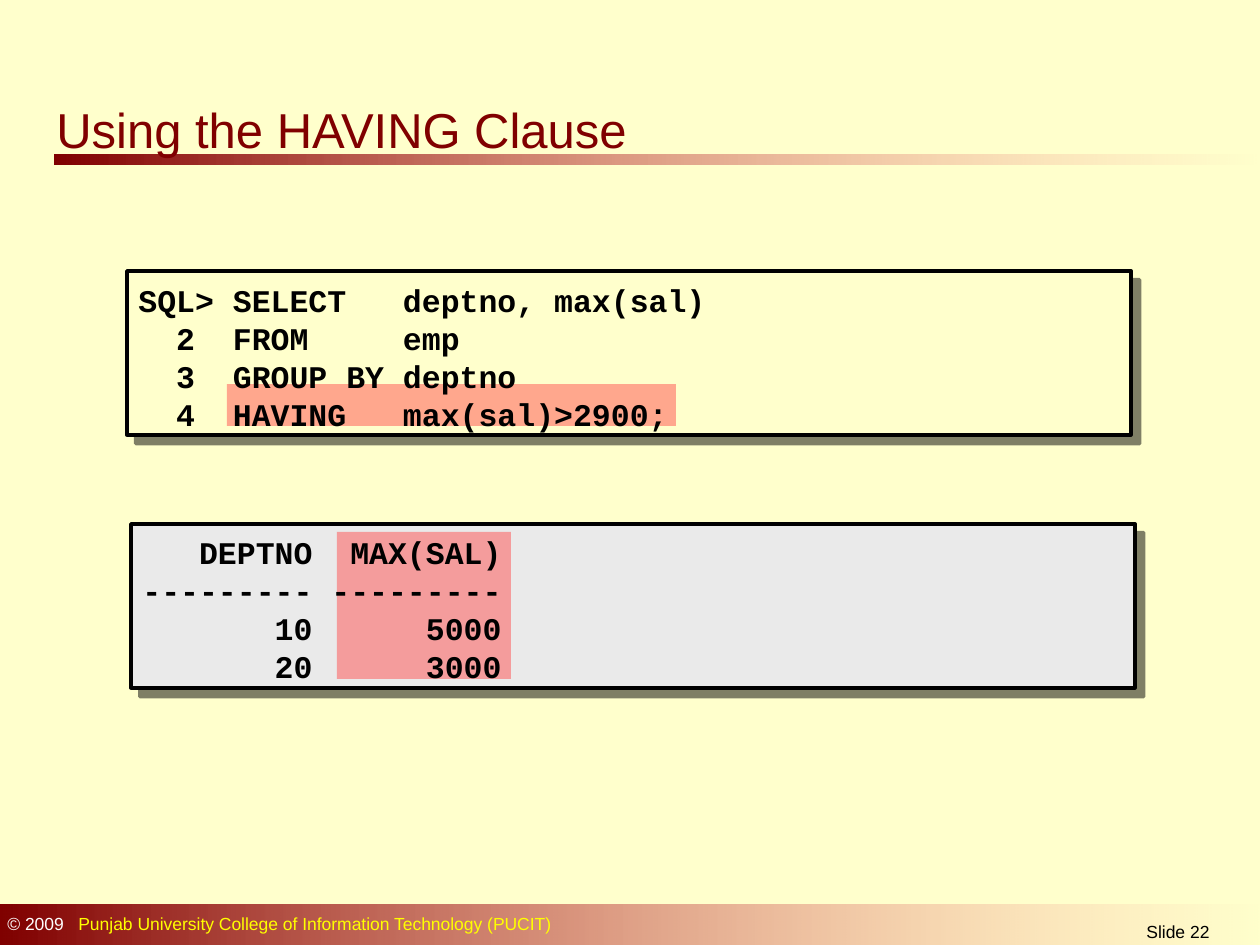
"""Build the slide on the HAVING clause."""
from dataclasses import dataclass

from lxml import etree
from pptx import Presentation
from pptx.dml.color import RGBColor
from pptx.enum.shapes import MSO_SHAPE
from pptx.enum.text import MSO_ANCHOR, PP_ALIGN
from pptx.oxml.ns import qn
from pptx.util import Inches, Pt

RECT = MSO_SHAPE.RECTANGLE
TOP, MID, LOW = MSO_ANCHOR.TOP, MSO_ANCHOR.MIDDLE, MSO_ANCHOR.BOTTOM
LEFT, CENTER = PP_ALIGN.LEFT, PP_ALIGN.CENTER
UNIT = Inches(1) / 126
INK = {
    "page": "FFFFCC", "maroon": "800000", "fade": "FF8585",
    "black": "000000", "white": "FFFFFF", "yellow": "FFFF00",
    "gray": "EAEAEA", "mark": "FF5050",
}


@dataclass
class Box:
    x: int
    y: int
    w: int
    h: int

    def emu(self) -> list[int]:
        return [round(n * UNIT) for n in (self.x, self.y, self.w, self.h)]


@dataclass
class Panel:
    box: Box
    fill: str


@dataclass
class Text:
    box: Box
    lines: list[str]
    size: int
    color: str = "black"
    face: str = "Arial"
    bold: bool = False
    anchor: MSO_ANCHOR = TOP
    align: PP_ALIGN = LEFT
    pitch: float | None = None


BARS = [Box(54, 155, 1206, 10), Box(0, 905, 1264, 44)]
PANELS = [
    Panel(Box(127, 271, 1004, 164), "page"),
    Panel(Box(131, 524, 1004, 164), "gray"),
]
MARKS = [Box(227, 384, 449, 42), Box(337, 532, 174, 147)]
TITLE = Text(Box(44, 91, 610, 74), ["Using the HAVING Clause"], 28, "maroon", anchor=LOW)
PAGE = Text(Box(1047, 915, 262, 30), ["Slide 22"], 10, align=CENTER)
QUERY = [
    "SQL> SELECT   deptno, max(sal)",
    "  2  FROM     emp",
    "  3  GROUP BY deptno",
    "  4  HAVING   max(sal)>2900;",
]
RESULT = [
    "   DEPTNO  MAX(SAL)",
    "--------- ---------",
    "       10      5000",
    "       20      3000",
]
CREDIT = [
    ("© 2009", "white"),
    ("\tPunjab University College of Information Technology (PUCIT)", "yellow"),
]


def rgb(name: str) -> RGBColor:
    return RGBColor.from_string(INK[name])


def fade(node, share: int) -> None:
    etree.SubElement(node, qn("a:alpha"), val=str(share * 1000))


def block(slide, box: Box):
    shape = slide.shapes.add_shape(RECT, *box.emu())
    shape.shadow.inherit = False
    shape.line.fill.background()
    return shape


def colors(shape) -> list:
    return list(shape._element.spPr.iter(qn("a:srgbClr")))


def bar(slide, box: Box) -> None:
    shape = block(slide, box)
    shape.fill.gradient()
    shape.fill.gradient_angle = 0
    for stop, name in zip(shape.fill.gradient_stops, ("maroon", "fade")):
        stop.color.rgb = rgb(name)
    fade(colors(shape)[1], 0)


def panel(slide, item: Panel) -> None:
    shape = block(slide, item.box)
    shape.fill.solid()
    shape.fill.fore_color.rgb = rgb(item.fill)
    shape.line.color.rgb = rgb("black")
    shape.line.width = Pt(2)
    effects = shape._element.spPr.find(qn("a:effectLst"))
    shade = etree.SubElement(
        effects, qn("a:outerShdw"), blurRad="0", dist=str(Pt(7.1)),
        dir="2700000", algn="ctr", rotWithShape="0",
    )
    fade(etree.SubElement(shade, qn("a:srgbClr"), val=INK["black"]), 50)


def mark(slide, box: Box) -> None:
    shape = block(slide, box)
    shape.fill.solid()
    shape.fill.fore_color.rgb = rgb("mark")
    fade(colors(shape)[0], 50)


def frame(slide, box: Box):
    area = slide.shapes.add_textbox(*box.emu()).text_frame
    area.word_wrap = True
    return area


def write(slide, item: Text) -> None:
    area = frame(slide, item.box)
    area.vertical_anchor = item.anchor
    area.text = "\n".join(item.lines)
    for para in area.paragraphs:
        para.alignment = item.align
        if item.pitch:
            para.line_spacing = Pt(item.pitch)
        para.font.name = item.face
        para.font.size = Pt(item.size)
        para.font.bold = item.bold
        para.font.color.rgb = rgb(item.color)


def code(slide, box: Box, lines: list[str]) -> None:
    write(slide, Text(box, lines, 18, face="Courier New", bold=True, anchor=MID, pitch=21.7))


def credit(slide) -> None:
    para = frame(slide, Box(-5, 907, 814, 34)).paragraphs[0]
    tabs = etree.SubElement(para._p.get_or_add_pPr(), qn("a:tabLst"))
    etree.SubElement(tabs, qn("a:tab"), pos=str(round(71 * UNIT)), algn="l")
    para.font.name = "Arial"
    para.font.size = Pt(10)
    for words, name in CREDIT:
        run = para.add_run()
        run.text = words
        run.font.color.rgb = rgb(name)


def main() -> None:
    deck = Presentation()
    deck.slide_width, deck.slide_height = Box(0, 0, 1260, 945).emu()[2:]
    slide = deck.slides.add_slide(deck.slide_layouts[6])
    slide.background.fill.solid()
    slide.background.fill.fore_color.rgb = rgb("page")
    for box in BARS:
        bar(slide, box)
    credit(slide)
    write(slide, PAGE)
    for item in PANELS:
        panel(slide, item)
    write(slide, TITLE)
    for box in MARKS:
        mark(slide, box)
    code(slide, Box(126, 273, 1008, 168), QUERY)
    code(slide, Box(130, 525, 1008, 168), RESULT)
    deck.save("out.pptx")


if __name__ == "__main__":
    main()
